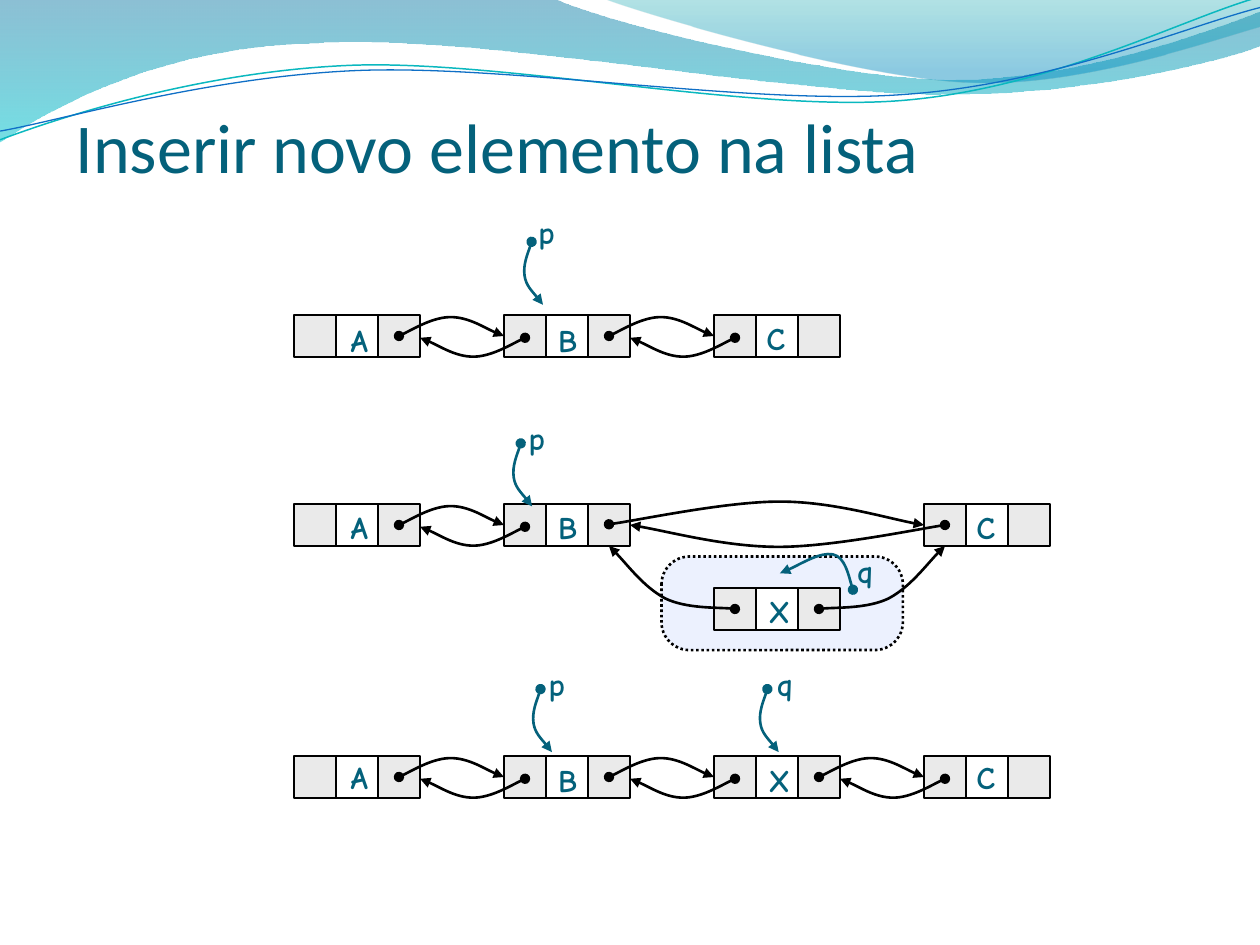
from pptx import Presentation
from pptx import util as u
from pptx.dml.color import RGBColor
from pptx.enum import dml, shapes, text
from pptx.oxml.ns import qn
from pptx.oxml.xmlchemy import OxmlElement

TEAL, BLACK, GREY, WHITE = "04617B", "000000", "EAEAEA", "FFFFFF"
CELL = 24   # side of one cell
STEP = 120  # distance between neighbouring nodes
COLS = [168 + STEP * i for i in range(4)]
SHIFT = {"A": 23, "B": 22, "X": 23, "C": 21}  # letter offset in its node


def rgb(code):
    return RGBColor.from_string(code)


def stroke(shape, color, width=1.5):
    shape.shadow.inherit = False
    shape.line.color.rgb = rgb(color)
    shape.line.width = u.Pt(width)


def write(frame, words, size=18, font="Comic Neue", bold=True,
          color=TEAL, align=text.PP_ALIGN.CENTER):
    para = frame.paragraphs[0]
    para.alignment = align
    run = para.add_run()
    run.text = words
    run.font.size, run.font.name, run.font.bold = u.Pt(size), font, bold
    run.font.color.rgb = rgb(color)


def label(slide, words, x, y):
    box = slide.shapes.add_textbox(u.Pt(x), u.Pt(y), u.Pt(28.8), u.Pt(28.8))
    box.text_frame.word_wrap = True
    box.text_frame.auto_size = text.MSO_AUTO_SIZE.SHAPE_TO_FIT_TEXT
    write(box.text_frame, words)


def outline(slide, start, parts, close=False):
    """Each part holds 2 numbers (a line) or 6 (a Bézier curve)."""
    pen = slide.shapes.build_freeform(u.Pt(start[0]), u.Pt(start[1]))
    dots = [(u.Pt(p[i]), u.Pt(p[i + 1]))
            for p in parts for i in range(0, len(p), 2)]
    pen.add_line_segments(dots, close=close)
    shape = pen.convert_to_shape()
    # Join the three points of each curve into one Bézier segment
    steps = iter(list(shape.element.iter(qn("a:lnTo"))))
    for part in parts:
        trio = [next(steps) for _ in range(len(part) // 2)]
        if len(trio) == 3:
            bend = OxmlElement("a:cubicBezTo")
            trio[0].addprevious(bend)
            for item in trio:
                bend.append(item[0])
                item.getparent().remove(item)
    return shape


def wave(slide, start, parts, stops):
    shape = outline(slide, start, parts, close=True)
    shape.shadow.inherit = False
    shape.line.fill.background()
    shape.fill.gradient()
    shape.fill.gradient_angle = 270
    for stop, (pos, color, alpha) in zip(shape.fill.gradient_stops, stops):
        stop.position = pos
        stop.color.rgb = rgb(color)
    for tint, (_, _, alpha) in zip(shape.element.iter(qn("a:srgbClr")), stops):
        mark = OxmlElement("a:alpha")
        mark.set("val", str(alpha * 1000))
        tint.append(mark)


def curve(slide, start, parts, color=BLACK, width=1.5):
    shape = outline(slide, start, parts)
    shape.fill.background()
    stroke(shape, color, width)
    return shape


def arrow(slide, start, parts, color=BLACK):
    line = curve(slide, start, parts, color).line
    for tag, kind in (("a:headEnd", "oval"), ("a:tailEnd", "triangle")):
        end = OxmlElement(tag)
        end.set("type", kind)
        line._get_or_add_ln().append(end)


def shift(x, y, offsets, flip=1):
    """Turn offsets from (x, y) into curve parts; flip=-1 turns them around."""
    return [[(x, y)[i % 2] + flip * n for i, n in enumerate(part)]
            for part in offsets]


def link(slide, x, y, flip=1):
    bow = [(4.7, -2, 19.5, -10.8, 29.5, -10.8),
           (39.5, -10.8, 53.5, -2, 60, 0)]
    arrow(slide, (x, y), shift(x, y, bow, flip))


def pair(slide, x, y):
    """Links both ways between the node at x and its right neighbour."""
    link(slide, x + 2.5 * CELL, y + 12)
    link(slide, x + STEP + CELL / 2, y + 13, -1)


def point(slide, name, x, y, left, top):
    bow = [(-0.7, 3, -5, 13, -4, 19.5), (-3.2, 25, 4, 32.5, 6.5, 36)]
    arrow(slide, (x, y), shift(x, y, bow), TEAL)
    label(slide, name, left, top)


def node(slide, name, x, y, rise):
    for i, color in enumerate((GREY, WHITE, GREY)):
        cell = slide.shapes.add_shape(
            shapes.MSO_SHAPE.RECTANGLE, u.Pt(x + i * CELL), u.Pt(y),
            u.Pt(CELL), u.Pt(CELL))
        cell.fill.solid()
        cell.fill.fore_color.rgb = rgb(color)
        stroke(cell, BLACK)
    label(slide, name, x + SHIFT[name], y - rise)


def banner(slide):
    wave(slide, (0, 0), [
        (316.8, -0.7),
        (342.7, 12.2, 478.1, 45.4, 545.8, 45.4),
        (614.2, 45.4, 689.8, 18.7, 720, 6.5),
        (720.7, 25.9),
        (707.8, 31.7, 626.4, 54.7, 537.1, 54),
        (447.8, 54, 275, 20.2, 185, 24.5),
        (92.9, 25.9, 33.1, 59.8, -0.7, 81.4),
    ], [(0, "0074A1", 45), (1, "00C6CF", 55)])
    wave(slide, (344.9, -0.7), [
        (366.5, 7.9, 491, 44.6, 553.7, 46.8),
        (616.3, 49.7, 691.9, 23, 720, 15.1),
        (720, 0),
    ], [(0, "00A1A9", 30), (0.8, "008BBF", 45)])
    curve(slide, (0, 79.9), [
        (34.6, 67, 113.8, 41, 199.4, 37.4),
        (284.4, 33.8, 427, 64.1, 513.4, 57.6),
        (599.8, 51.1, 675.4, 10.8, 718.6, -1.4)], "0AB8BF", 0.85)
    curve(slide, (0, 74.9), [
        (33.8, 69.1, 118.1, 43.9, 203.8, 40.3),
        (290.2, 36.7, 429.8, 60.5, 516.2, 54),
        (601.9, 48.2, 677.5, 15.1, 720, 4.3)], "0F6FC6", 0.75)


def heading(slide, words):
    title = slide.shapes.title
    title.left, title.top = u.Pt(36), u.Pt(21)
    title.width, title.height = u.Pt(648), u.Pt(90)
    title.text_frame.vertical_anchor = text.MSO_ANCHOR.BOTTOM
    write(title.text_frame, words, size=40, font="Calibri", bold=False,
          align=text.PP_ALIGN.LEFT)
    slide.shapes.element.append(title.element)  # in front of the banner


def halo(slide):
    box = slide.shapes.add_shape(
        shapes.MSO_SHAPE.ROUNDED_RECTANGLE, u.Pt(378), u.Pt(318),
        u.Pt(138), u.Pt(53.5))
    box.adjustments[0] = 0.3
    box.fill.solid()
    box.fill.fore_color.rgb = rgb("ECF1FE")
    stroke(box, BLACK)
    box.line.dash_style = dml.MSO_LINE.ROUND_DOT


def main():
    deck = Presentation()
    deck.slide_width, deck.slide_height = u.Pt(720), u.Pt(540)
    slide = deck.slides.add_slide(deck.slide_layouts[5])
    banner(slide)
    heading(slide, "Inserir novo elemento na lista")
    a, b, c, d = COLS

    # Before: A, B, C
    for name, x, rise in (("A", a, 0), ("B", b, 0), ("C", c, 1.4)):
        node(slide, name, x, 180, rise)
    for x in (a, b):
        pair(slide, x, 180)
    point(slide, "p", 303.8, 138.2, 298, 118)

    # During: X is made between B and C
    halo(slide)
    for name, x in (("A", a), ("B", b), ("C", d)):
        node(slide, name, x, 288, 1.4)
    node(slide, "X", c, 336, 1.4)
    pair(slide, a, 288)
    arrow(slide, (348, 299.6), [(364.3, 297.4, 415.4, 286.6, 445.7, 286.6),
                                (475.2, 286.6, 511.2, 297.4, 528, 300)])
    arrow(slide, (540, 300), [(524.2, 302.4, 474.5, 312.5, 445, 312.5),
                              (414.7, 312.5, 377.3, 302.4, 360, 300)])
    mid = c + 1.5 * CELL
    for s in (-1, 1):
        arrow(slide, (mid + s * 24, 348), [
            (mid + s * 30.6, 347, mid + s * 51.8, 347.8, mid + s * 63.8, 342),
            (mid + s * 76, 335.5, mid + s * 89, 318.2, mid + s * 96, 312)])
    point(slide, "p", 297.6, 253.4, 292.3, 236)
    arrow(slide, (487.4, 337), [(486, 333.4, 483, 318.2, 475.9, 316.8),
                                (468.7, 315.4, 452.2, 325.4, 445.7, 327.6)],
          TEAL)
    label(slide, "q", 480, 312)

    # After: A, B, X, C
    for name, x, rise in zip("ABXC", COLS, (2.2, 0.7, 0.7, 2.2)):
        node(slide, name, x, 432, rise)
    for x in (a, b, c):
        pair(slide, x, 432)
    point(slide, "p", 308.9, 393.8, 303.8, 376.6)
    point(slide, "q", 438.5, 393.8, 434.2, 376.6)

    deck.save("out.pptx")


if __name__ == "__main__":
    main()
